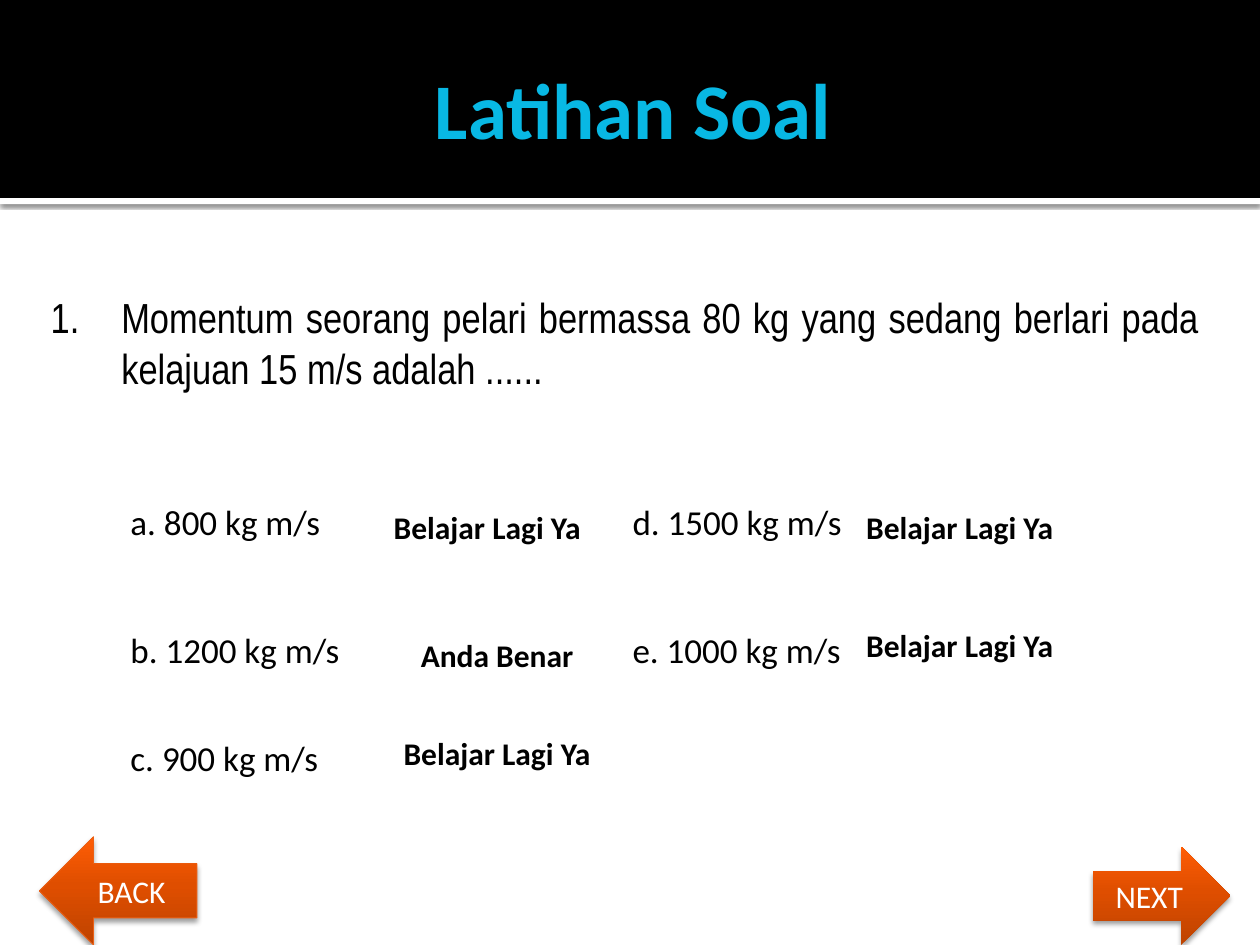
from lxml import etree
from copy import deepcopy
from pptx import Presentation
from pptx.dml.color import RGBColor
from pptx.enum.shapes import MSO_SHAPE
from pptx.enum.text import MSO_ANCHOR, PP_ALIGN
from pptx.oxml.ns import qn
from pptx.util import Inches, Pt

BLACK = RGBColor(0x00, 0x00, 0x00)
WHITE = RGBColor(0xFF, 0xFF, 0xFF)
CYAN = RGBColor(0x08, 0xB8, 0xE4)
EDGE = RGBColor(0xEB, 0x60, 0x15)
ORANGES = ((0, RGBColor(0xBE, 0x43, 0x00)),
           (0.55, RGBColor(0xDF, 0x4E, 0x00)),
           (1, RGBColor(0xFF, 0x5D, 0x05)))

LEFT, CENTER, JUSTIFY = PP_ALIGN.LEFT, PP_ALIGN.CENTER, PP_ALIGN.JUSTIFY
TOP, MIDDLE = MSO_ANCHOR.TOP, MSO_ANCHOR.MIDDLE
RECTANGLE = MSO_SHAPE.RECTANGLE
RIGHT_ARROW, LEFT_ARROW = MSO_SHAPE.RIGHT_ARROW, MSO_SHAPE.LEFT_ARROW

COLUMNS = 128  # square grid cells across the slide width
TITLE_ONLY = 5


class QuizSlide:
    """Style and current slide; positions are in grid cells."""
    font = "Calibri"

    def __init__(self, prs):
        self.cell = prs.slide_width / COLUMNS
        self.s = prs.slides.add_slide(prs.slide_layouts[TITLE_ONLY])

    def box(self, *cells):
        return [round(n * self.cell) for n in cells]

    def set_text(self, sp, text, size, color=BLACK, bold=False, align=LEFT,
                 anchor=MIDDLE, font=None):
        tf = sp.text_frame
        tf.word_wrap = True
        tf.vertical_anchor = anchor
        tf.text = text
        p = tf.paragraphs[0]
        p.alignment = align
        for r in p.runs:
            r.font.name = font or self.font
            r.font.size = Pt(size)
            r.font.bold = bold
            r.font.color.rgb = color
        return p

    def shadow(self, sp, alpha, blur, distance):
        effects = sp._element.spPr.find(qn("a:effectLst"))
        outer = etree.SubElement(
            effects, qn("a:outerShdw"), blurRad=str(Pt(blur)),
            dist=str(Pt(distance)), dir="5400000", rotWithShape="0")
        color = etree.SubElement(outer, qn("a:srgbClr"), val=str(BLACK))
        etree.SubElement(color, qn("a:alpha"), val=str(alpha * 1000))

    def shape(self, kind, cells):
        sp = self.s.shapes.add_shape(kind, *self.box(*cells))
        sp.shadow.inherit = False
        sp.line.fill.background()
        return sp

    def band(self, cells, color):
        sp = self.shape(RECTANGLE, cells)
        sp.fill.solid()
        sp.fill.fore_color.rgb = color
        title = self.s.shapes.title._element
        title.addprevious(sp._element)  # keep bands behind the title
        return sp

    def title(self, text, cells):
        sp = self.s.shapes.title
        sp.left, sp.top, sp.width, sp.height = self.box(*cells)
        self.set_text(sp, text, 45, CYAN, True, CENTER)
        sp.text_frame.margin_right = Inches(0.05)

    def text(self, text, cells, size, **style):
        sp = self.s.shapes.add_textbox(*self.box(*cells))
        return self.set_text(sp, text, size, **style)

    def question(self, text, cells):
        p = self.text(text, cells, 24, align=JUSTIFY, anchor=TOP,
                      font="Arial Narrow")
        pPr = p._p.get_or_add_pPr()
        pPr.set("marL", str(Inches(0.63)))
        pPr.set("indent", str(Inches(-0.56)))

    def button(self, kind, text, cells, edge=None):
        sp = self.shape(kind, cells)
        sp.fill.gradient()
        sp.fill.gradient_angle = 90
        stops = sp._element.spPr.find(".//" + qn("a:gsLst"))
        stops.append(deepcopy(stops[0]))
        for stop, (position, color) in zip(sp.fill.gradient_stops, ORANGES):
            stop.position = position
            stop.color.rgb = color
        if edge:
            sp.line.color.rgb = edge
            sp.line.width = Pt(0.5)
        self.shadow(sp, 38, 3.1, 2)
        self.set_text(sp, text, 18, WHITE, align=CENTER)


def main():
    prs = Presentation()
    prs.slide_width, prs.slide_height = Inches(10), Inches(7.5)
    quiz = QuizSlide(prs)

    # Header
    header = 20.1
    rule = quiz.band((0, header, COLUMNS, 0.64), WHITE)
    quiz.shadow(rule, 60, 2.5, 0.8)
    quiz.band((0, 0, COLUMNS, header), BLACK)
    quiz.title("Latihan Soal", (6.4, 2.2, 115.2, 17.5))

    # Navigation
    quiz.button(RIGHT_ARROW, "NEXT", (111, 86, 14, 10))
    quiz.button(LEFT_ARROW, "BACK", (4, 85, 16, 11), EDGE)

    # Question
    quiz.question("1.\tMomentum seorang pelari bermassa 80 kg yang sedang "
                  "berlari pada kelajuan 15 m/s adalah ......",
                  (3, 29, 120, 53))

    # Answers: text, left, top, then feedback text, left, top
    wrong, right = "Belajar Lagi Ya", "Anda Benar"
    first, second = 12, 63
    answers = (
        ("a. 800 kg m/s", first, 50, wrong, 37, 51),
        ("b. 1200 kg m/s", first, 63, right, 38, 64),
        ("c. 900 kg m/s", first, 74, wrong, 38, 74),
        ("d. 1500 kg m/s", second, 50, wrong, 85, 51),
        ("e. 1000 kg m/s", second, 63, wrong, 85, 63),
    )
    for answer, x, y, feedback, feedback_x, feedback_y in answers:
        quiz.text(answer, (x, y, 40, 6), 20)
        quiz.text(feedback, (feedback_x, feedback_y, 25, 5), 18,
                  bold=True, align=CENTER)

    prs.save("out.pptx")


if __name__ == "__main__":
    main()
